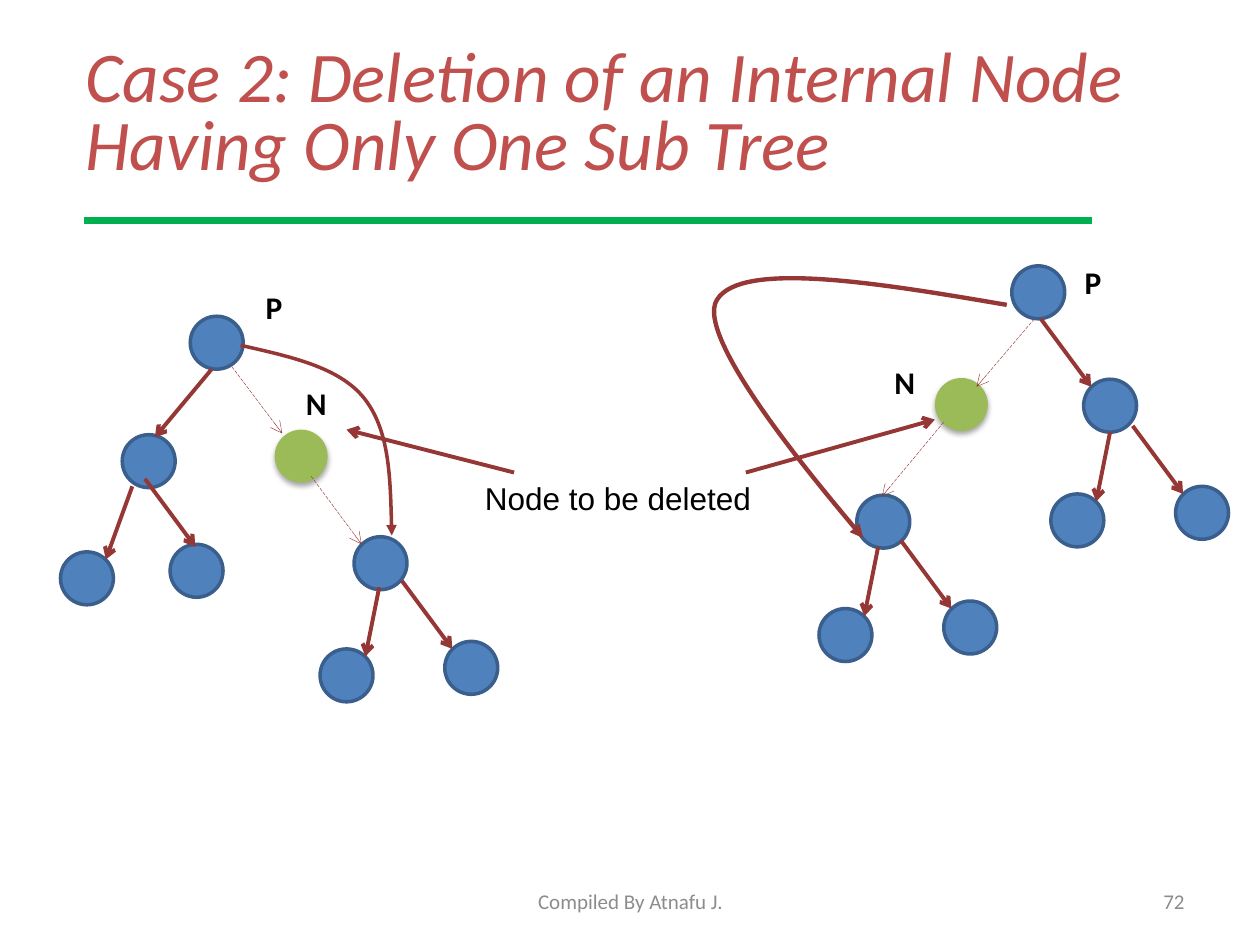
from lxml.etree import SubElement
from pptx import Presentation
from pptx.dml.color import RGBColor
from pptx.enum.dml import MSO_LINE
from pptx.enum.shapes import MSO_CONNECTOR, MSO_SHAPE
from pptx.enum.text import MSO_ANCHOR, MSO_AUTO_SIZE, PP_ALIGN
from pptx.oxml import parse_xml
from pptx.oxml.ns import nsdecls, qn
from pptx.util import Inches, Pt

BLUE, OUTLINE, GREEN = "4F81BD", "3A5F8C", "9BBB59"
MAROON, RULE, TITLE, BLACK, GRAY = "953735", "00B050", "C0504D", "000000", "8C8C8C"
NODE_SIZE = 0.42

# Left and top of each node; the leaf pairs are placed by add_leaf_pair
NODES = [
    (8.03, 2.11), (8.6, 3.01), (6.8, 3.93),
    (1.51, 2.51), (0.97, 3.45), (2.81, 4.26), (1.35, 4.32), (0.48, 4.38),
]
DELETED_NODES = [(7.42, 3), (2.18, 3.41)]
RIGHT_LEAVES = [(9.33, 3.86), (7.49, 4.77), (3.53, 5.09)]

# Start and end of each arrow
KEPT_LINKS = [
    ((8.26, 2.53), (8.66, 3.07)),
    ((1.68, 2.93), (1.23, 3.47)),
    ((1.15, 3.8), (1.55, 4.34)),
    ((1.05, 3.86), (0.84, 4.44)),
]
REMOVED_LINKS = [
    ((8.21, 2.53), (7.75, 3.07)),
    ((7.49, 3.35), (7, 3.94)),
    ((1.84, 2.91), (2.24, 3.44)),
    ((2.47, 3.78), (2.87, 4.32)),
]
POINTERS = [((5.92, 3.75), (7.42, 3.33)), ((4.08, 3.75), (2.75, 3.41))]

# Bezier points: start, then two controls and an end for each segment
LEFT_BYPASS = [(1.91, 2.74), (2.3, 2.83), (2.69, 2.91), (2.89, 3.16),
               (3.09, 3.41), (3.1, 3.83), (3.11, 4.25)]
RIGHT_BYPASS = [(7.99, 2.42), (6.94, 2.24), (5.88, 2.07), (5.69, 2.38),
                (5.5, 2.68), (6.85, 4.27), (6.85, 4.27)]


def rgb(color):
    return RGBColor.from_string(color)


def style_line(shape, color, width, head=None):
    shape.line.color.rgb = rgb(color)
    shape.line.width = Pt(width)
    if head:
        SubElement(shape.line._get_or_add_ln(), qn("a:tailEnd"), type=head)


def add_node(slide, left, top, deleted=False):
    node = slide.shapes.add_shape(MSO_SHAPE.OVAL, Inches(left), Inches(top),
                                  Inches(NODE_SIZE), Inches(NODE_SIZE))
    node.fill.solid()
    node.fill.fore_color.rgb = rgb(GREEN if deleted else BLUE)
    if deleted:
        node.line.fill.background()
        node._element.spPr.append(parse_xml(
            f'<a:effectLst {nsdecls("a")}>'
            f'<a:outerShdw blurRad="{Pt(3.1)}" dist="{Pt(1.8)}" dir="5400000" rotWithShape="0">'
            '<a:srgbClr val="000000"><a:alpha val="35000"/></a:srgbClr>'
            '</a:outerShdw></a:effectLst>'))
    else:
        node.shadow.inherit = False
        style_line(node, OUTLINE, 2)


def add_line(slide, start, end, color=MAROON, width=2.25, head="arrow", dashed=False):
    line = slide.shapes.add_connector(
        MSO_CONNECTOR.STRAIGHT, *(Inches(value) for value in (*start, *end)))
    if dashed:
        line.line.dash_style = MSO_LINE.LONG_DASH
    style_line(line, color, width, head)
    SubElement(line._element.spPr, qn("a:effectLst"))


def add_leaf_pair(slide, left, top):
    """Draw two sibling leaves and their links, measured from the right leaf."""
    add_node(slide, left, top)
    add_node(slide, left - 0.99, top + 0.06)
    add_line(slide, (left - 0.34, top - 0.48), (left + 0.06, top + 0.06))
    add_line(slide, (left - 0.52, top - 0.43), (left - 0.63, top + 0.12))


def add_curve(slide, points, width):
    builder = slide.shapes.build_freeform(*points[0], scale=Inches(1) / 1.0)
    # Whole units keep the outline exact
    builder = slide.shapes.build_freeform(
        *(Inches(value) for value in points[0]), scale=1.0)
    builder.add_line_segments(
        [(Inches(x), Inches(y)) for x, y in points[1:]], close=False)
    curve = builder.convert_to_shape()
    curve.fill.background()
    curve.shadow.inherit = False
    style_line(curve, MAROON, width, "triangle")
    # Turn every three straight segments into one Bezier segment
    outline = curve._element.spPr.find(".//" + qn("a:path"))
    segments = outline.findall(qn("a:lnTo"))
    for index in range(0, len(segments), 3):
        bezier = SubElement(outline, qn("a:cubicBezTo"))
        for segment in segments[index:index + 3]:
            bezier.append(segment[0])
            outline.remove(segment)


def add_text(slide, text, box, size, color=BLACK, font="Calibri", bold=False,
             italic=False, align=PP_ALIGN.LEFT, anchor=MSO_ANCHOR.TOP,
             wrap=True, grow=False, spacing=None):
    shape = slide.shapes.add_textbox(*(Inches(value) for value in box))
    frame = shape.text_frame
    frame.text = text
    frame.word_wrap = wrap
    frame.vertical_anchor = anchor
    frame.auto_size = MSO_AUTO_SIZE.SHAPE_TO_FIT_TEXT if grow else MSO_AUTO_SIZE.NONE
    paragraph = frame.paragraphs[0]
    paragraph.alignment = align
    paragraph.line_spacing = spacing
    run_font = paragraph.runs[0].font
    run_font.name, run_font.size = font, Pt(size)
    run_font.bold, run_font.italic = bold, italic
    run_font.color.rgb = rgb(color)


def main():
    presentation = Presentation()
    presentation.slide_width, presentation.slide_height = Inches(10), Inches(7.5)
    slide = presentation.slides.add_slide(presentation.slide_layouts[6])

    # Title and rule
    add_text(slide, "Case 2: Deletion of an Internal Node Having Only One Sub Tree",
             (0.58, 0.33, 9, 1.25), 40.7, TITLE, italic=True, spacing=0.8)
    add_line(slide, (0.67, 1.75), (8.67, 1.75), RULE, 4.25, head=None)

    # Tree nodes
    for left, top in NODES:
        add_node(slide, left, top)
    for left, top in DELETED_NODES:
        add_node(slide, left, top, deleted=True)
    for left, top in RIGHT_LEAVES:
        add_leaf_pair(slide, left, top)

    # Links between nodes, pointers and new links past the deleted nodes
    for start, end in KEPT_LINKS + POINTERS:
        add_line(slide, start, end)
    for start, end in REMOVED_LINKS:
        add_line(slide, start, end, width=0.25, dashed=True)
    add_curve(slide, LEFT_BYPASS, 2)
    add_curve(slide, RIGHT_BYPASS, 2.5)

    # Labels
    add_text(slide, "Node to be deleted", (3.75, 3.75, 2.32, 0.4), 18,
             font="Arial", grow=True)
    for text, left, top in [("P", 8.51, 2.04), ("P", 2.01, 2.24),
                            ("N", 2.33, 3), ("N", 7, 2.83)]:
        add_text(slide, text, (left, top, 0.38, 0.4), 18, bold=True,
                 wrap=False, grow=True)

    # Footer
    for text, left, width, align in [
            ("Compiled By Atnafu J.", 3.42, 3.17, PP_ALIGN.CENTER),
            ("72", 7.17, 2.33, PP_ALIGN.RIGHT)]:
        add_text(slide, text, (left, 6.95, width, 0.4), 12, GRAY,
                 align=align, anchor=MSO_ANCHOR.MIDDLE)

    presentation.save("out.pptx")


if __name__ == "__main__":
    main()
